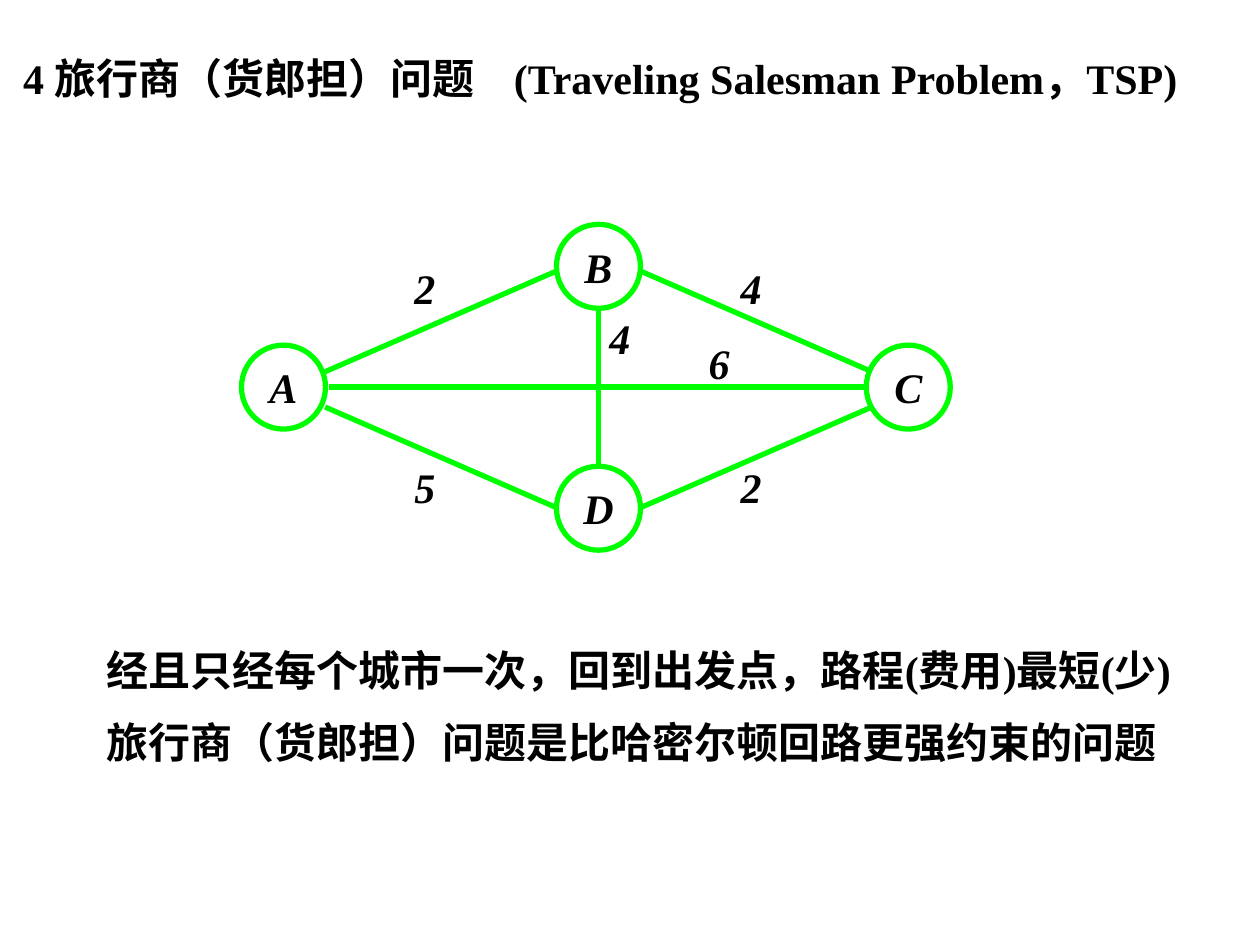
from dataclasses import dataclass

from lxml import etree
from pptx import Presentation
from pptx.dml.color import RGBColor
from pptx.enum import shapes, text
from pptx.oxml.ns import qn
from pptx.util import Pt

COLORS = {"ink": "000000", "graph": "00FF00"}
SERIF = "Times New Roman"
NODE_SIZE = 48
LABEL_W, LABEL_H = 42, 36


@dataclass(frozen=True)
class City:
    name: str
    cx: float
    cy: float


@dataclass(frozen=True)
class Road:
    x1: float
    y1: float
    x2: float
    y2: float


@dataclass(frozen=True)
class Cost:
    value: str
    left: float
    top: float


# Lines that cross the middle, then the four outer sides
DIAGONALS = [Road(188, 221.2, 494, 221.2), Road(342, 266.4, 342, 176.4)]
SIDES = [
    Road(x_outer, y_outer, x_inner, y_inner)
    for x_outer, x_inner in ((185.8, 318.2), (498.2, 365.8))
    for y_outer, y_inner in ((212.4, 154.8), (232.6, 290.2))
]
CITIES = [
    City("B", 342, 152.2),
    City("D", 342, 290.4),
    City("A", 162, 221.2),
    City("C", 519, 221.2),
]
COSTS = [
    Cost("2", 221.8, 146.2),
    Cost("5", 221.8, 260),
    Cost("4", 408.2, 146.2),
    Cost("2", 408.2, 260),
    Cost("4", 333.2, 175.2),
    Cost("6", 390, 189.2),
]


def add_run(p, words: str, font: str = SERIF, italic: bool = False) -> None:
    r = p.add_run()
    r.text = words
    r.font.name = font
    r.font.size = Pt(24)
    r.font.bold = True
    r.font.italic = italic
    r.font.color.rgb = RGBColor.from_string(COLORS["ink"])


def add_tab_stop(p, pos: float) -> None:
    tabs = etree.SubElement(p._p.get_or_add_pPr(), qn("a:tabLst"))
    etree.SubElement(tabs, qn("a:tab"), pos=str(Pt(pos)), algn="l")


def add_road(group, road: Road) -> None:
    line = group.shapes.add_connector(
        shapes.MSO_CONNECTOR.STRAIGHT,
        Pt(road.x1), Pt(road.y1), Pt(road.x2), Pt(road.y2))
    line.line.color.rgb = RGBColor.from_string(COLORS["graph"])
    line.line.width = Pt(3)
    etree.SubElement(line._element.spPr, qn("a:effectLst"))


def add_city(group, city: City) -> None:
    sp = group.shapes.add_shape(
        shapes.MSO_SHAPE.OVAL,
        Pt(city.cx - NODE_SIZE / 2), Pt(city.cy - NODE_SIZE / 2),
        Pt(NODE_SIZE), Pt(NODE_SIZE))
    sp.shadow.inherit = False
    sp.fill.background()
    sp.line.color.rgb = RGBColor.from_string(COLORS["graph"])
    sp.line.width = Pt(3)
    tf = sp.text_frame
    tf.word_wrap = False
    tf.vertical_anchor = text.MSO_ANCHOR.MIDDLE
    p = tf.paragraphs[0]
    p.alignment = text.PP_ALIGN.CENTER
    add_run(p, city.name, italic=True)


def add_cost(group, cost: Cost) -> None:
    box = group.shapes.add_textbox(
        Pt(cost.left), Pt(cost.top), Pt(LABEL_W), Pt(LABEL_H))
    tf = box.text_frame
    tf.word_wrap = True
    p = tf.paragraphs[0]
    p.alignment = text.PP_ALIGN.CENTER
    add_run(p, cost.value, italic=True)


def add_title(s) -> None:
    title = s.shapes.title
    title.left, title.top = Pt(0), Pt(26.6)
    title.width, title.height = Pt(700.6), Pt(36)
    tf = title.text_frame
    tf.word_wrap = True
    tf.auto_size = text.MSO_AUTO_SIZE.NONE
    tf.vertical_anchor = text.MSO_ANCHOR.TOP
    tf.margin_left = Pt(13.2)
    p = tf.paragraphs[0]
    p.alignment = text.PP_ALIGN.LEFT
    add_tab_stop(p, 280.5)
    add_run(p, "4 旅行商（货郎担）问题\t(Traveling Salesman Problem，TSP)")


def add_notes_on_problem(s) -> None:
    box = s.shapes.add_textbox(Pt(54), Pt(342), Pt(666), Pt(100))
    tf = box.text_frame
    tf.word_wrap = True
    p = tf.paragraphs[0]
    p.alignment = text.PP_ALIGN.JUSTIFY
    p.line_spacing = 1.8
    p.space_after = Pt(12)
    add_run(p, "经且只经每个城市一次，回到出发点，路程(费用)最短(少)")
    add_run(tf.add_paragraph(),
            "旅行商（货郎担）问题是比哈密尔顿回路更强约束的问题", font="Arial")


def main() -> None:
    prs = Presentation()
    prs.slide_width, prs.slide_height = Pt(720), Pt(540)
    s = prs.slides.add_slide(prs.slide_layouts[5])

    # Title and explanation
    add_title(s)
    add_notes_on_problem(s)

    # Weighted graph of cities
    graph = s.shapes.add_group_shape()
    for road in DIAGONALS:
        add_road(graph, road)
    for city in CITIES:
        add_city(graph, city)
    for road in SIDES:
        add_road(graph, road)
    for cost in COSTS:
        add_cost(graph, cost)

    prs.save("out.pptx")


if __name__ == "__main__":
    main()
